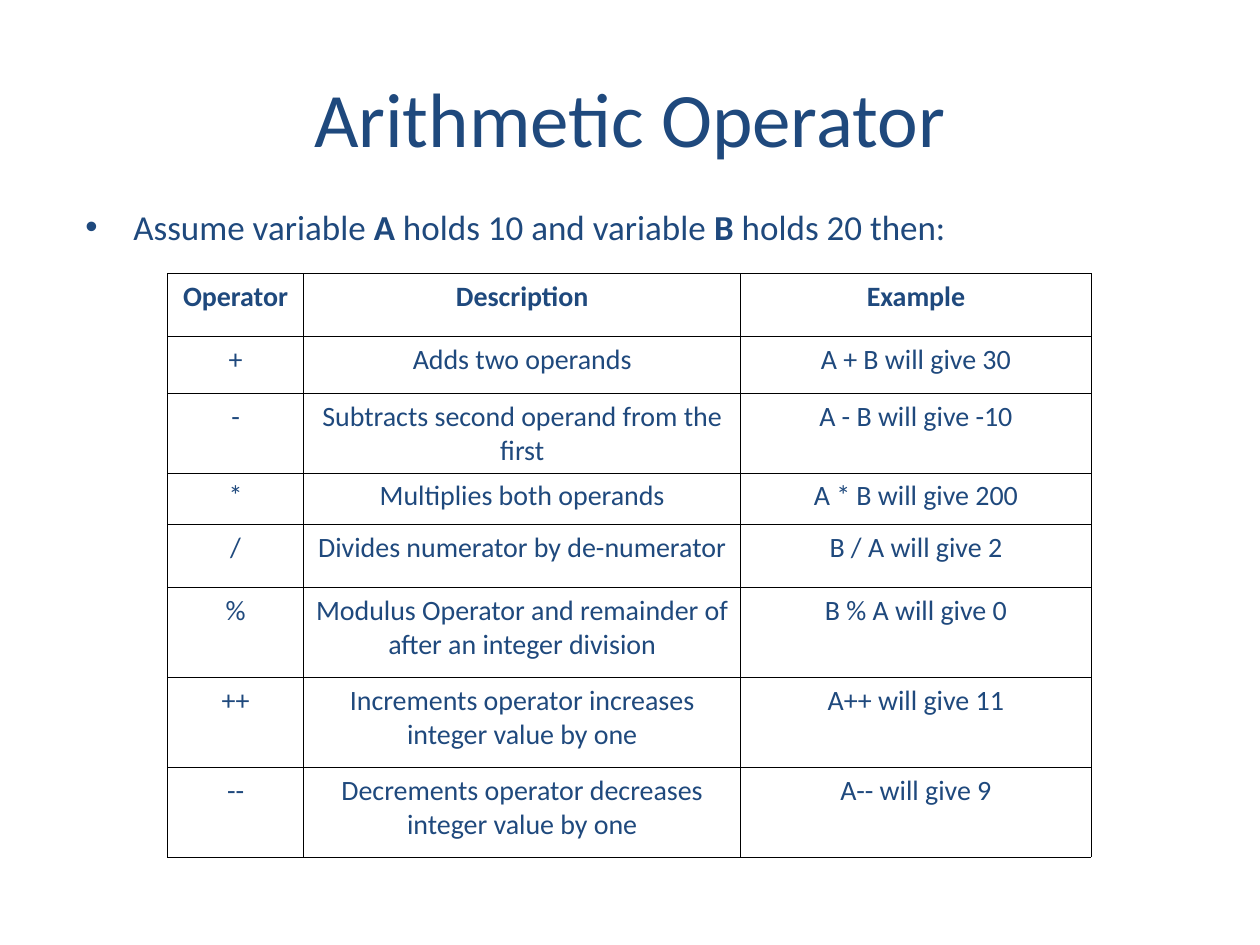
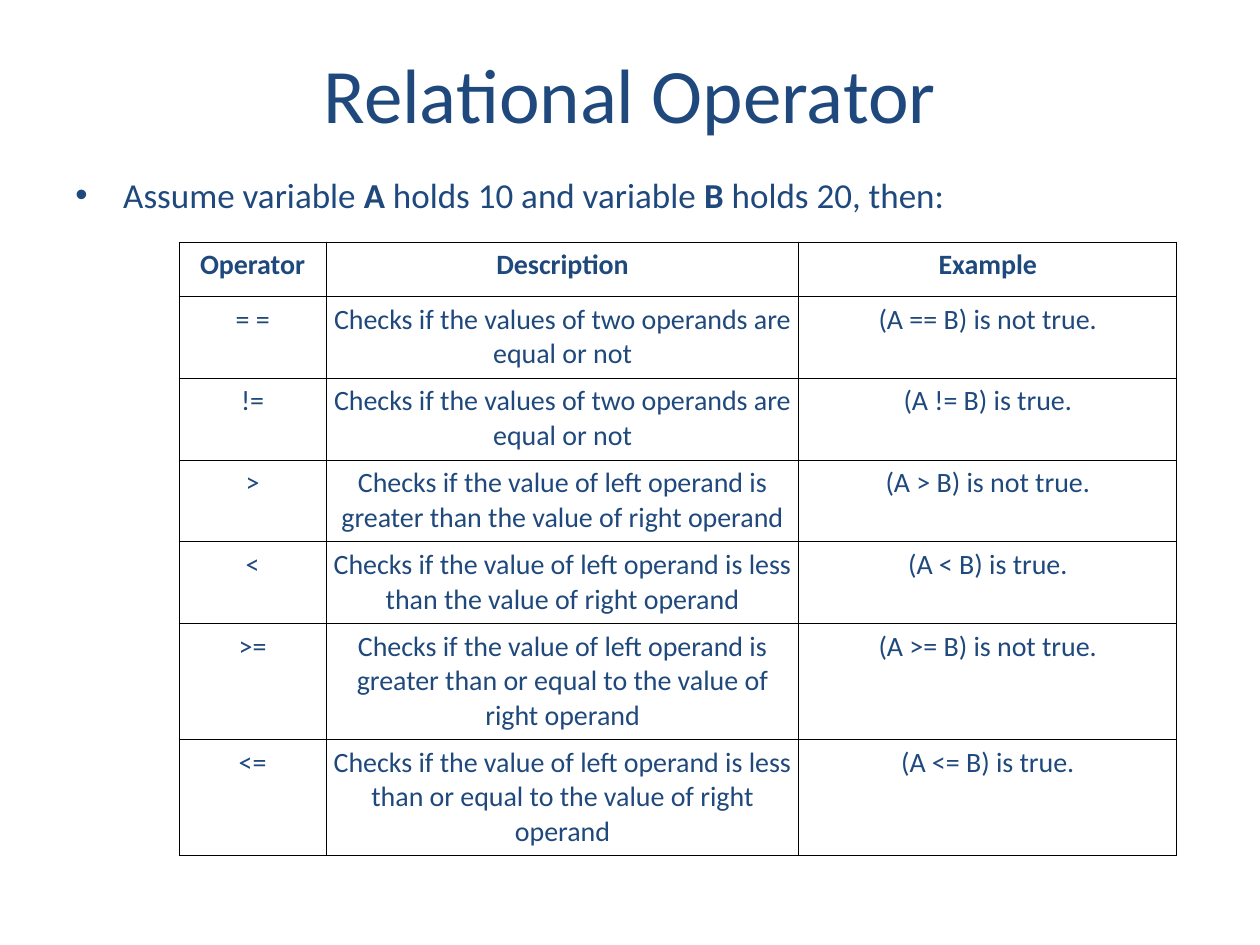
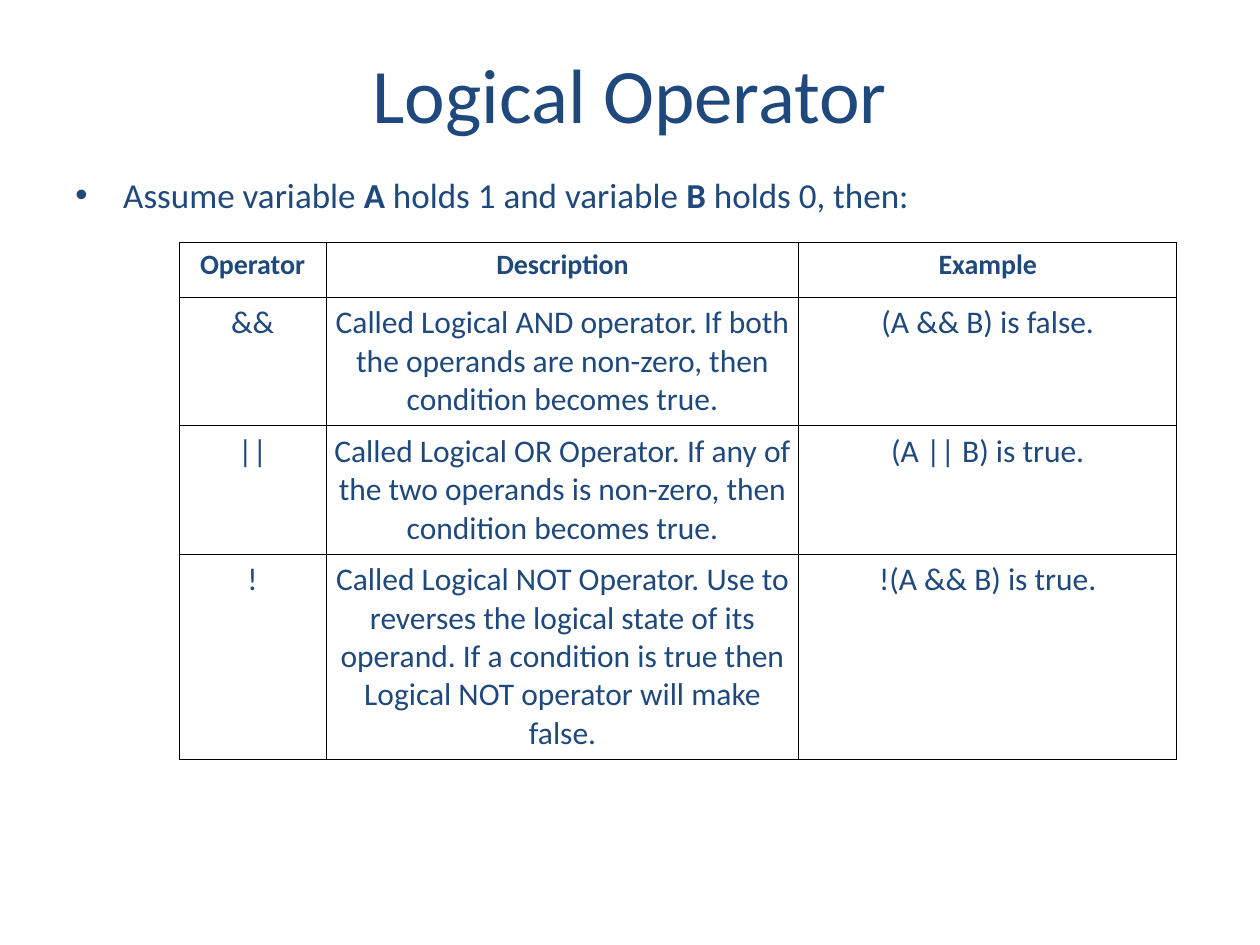
from dataclasses import dataclass

from lxml import etree
from pptx import Presentation
from pptx.dml.color import RGBColor
from pptx.enum import text
from pptx.oxml import ns
from pptx.util import Inches, Pt

NAVY = RGBColor(0x1F, 0x49, 0x7D)
BLACK = RGBColor(0x00, 0x00, 0x00)
FONT = "Calibri"
BORDER_WIDTH = Pt(0.45)
HEADINGS = ("Operator", "Description", "Example")
HEADING_SIZE = 16
HEADING_INSET = 0.04


@dataclass(frozen=True)
class Layout:
    """Places in inches: boxes are left, top, width, height."""
    title: tuple[float, float, float, float]
    statement: tuple[float, float, float, float]
    table_corner: tuple[float, float]
    columns: tuple[float, float, float]
    cell_inset: float


@dataclass(frozen=True)
class OperatorSlide:
    title: str
    value_a: int
    value_b: int
    ending: str
    layout: Layout
    row_heights: tuple[float, ...]
    operators: tuple[tuple[str, str, str], ...]
    text_size: int = 16


WIDE = Layout((0.5, 0.3, 9, 0.87), (0.5, 1.33, 9, 5.37), (1.42, 1.92),
              (1.17, 3.75, 3), 0.05)
NARROW = Layout((0.5, 0.3, 9, 1.25), (0.58, 1.58, 9, 5.92), (1.33, 2.17),
                (1.08, 3.47, 2.78), 0.04)

SLIDES = (
    OperatorSlide(
        "Arithmetic Operator", 10, 20, " then:", NARROW,
        (0.5, 0.45, 0.62, 0.41, 0.5, 0.71, 0.72, 0.71),
        (
            ("+", "Adds two operands", "A + B will give 30"),
            ("-", "Subtracts second operand from the first", "A - B will give -10"),
            ("*", "Multiplies both operands", "A * B will give 200"),
            ("/", "Divides numerator by de-numerator", "B / A will give 2"),
            ("%", "Modulus Operator and remainder of after an integer division",
             "B % A will give 0"),
            ("++", "Increments operator increases integer value by one",
             "A++ will give 11"),
            ("--", "Decrements operator decreases integer value by one",
             "A-- will give 9"),
        ),
    ),
    OperatorSlide(
        "Relational Operator", 10, 20, ", then:", WIDE,
        (0.43, 0.65, 0.65, 0.65, 0.65, 0.92, 0.92),
        (
            ("= =", "Checks if the values of two operands are equal or not",
             "(A == B) is not true."),
            ("!=", "Checks if the values of two operands are equal or not",
             "(A != B) is true."),
            (">", "Checks if the value of left operand is greater than "
             "the value of right operand", "(A > B) is not true."),
            ("<", "Checks if the value of left operand is less than "
             "the value of right operand", "(A < B) is true."),
            (">=", "Checks if the value of left operand is greater than or equal to "
             "the value of right operand", "(A >= B) is not true."),
            ("<=", "Checks if the value of left operand is less than or equal to "
             "the value of right operand", "(A <= B) is true."),
        ),
    ),
    OperatorSlide(
        "Logical Operator", 1, 0, ", then:", WIDE,
        (0.44, 1.02, 1.02, 1.63),
        (
            ("&&", "Called Logical AND operator. If both the operands are non-zero, "
             "then condition becomes true.", "(A && B) is false."),
            ("||", "Called Logical OR Operator. If any of the two operands is non-zero, "
             "then condition becomes true.", "(A || B) is true."),
            ("!", "Called Logical NOT Operator. Use to reverses the logical state of its "
             "operand. If a condition is true then Logical NOT operator will make false.",
             "!(A && B) is true."),
        ),
        text_size=18,
    ),
)


def add_span(para, words: str, size: int, bold: bool = False) -> None:
    span = para.add_run()
    span.text = words
    for name, value in {"name": FONT, "size": Pt(size), "bold": bold}.items():
        setattr(span.font, name, value)
    span.font.color.rgb = NAVY


def add_box(page, place: tuple[float, ...], anchor):
    """Add a wrapping text box and return its first paragraph."""
    frame = page.shapes.add_textbox(*map(Inches, place)).text_frame
    frame.word_wrap = True
    frame.vertical_anchor = anchor
    return frame.paragraphs[0]


def add_title(page, content: OperatorSlide) -> None:
    para = add_box(page, content.layout.title, text.MSO_ANCHOR.MIDDLE)
    para.alignment = text.PP_ALIGN.CENTER
    add_span(para, content.title, 44)


def add_bullet(para) -> None:
    props = para._p.get_or_add_pPr()
    props.set("marL", str(Inches(0.38)))
    props.set("indent", str(-Inches(0.38)))
    colour = etree.SubElement(props, ns.qn("a:buClr"))
    etree.SubElement(colour, ns.qn("a:srgbClr"), val=str(NAVY))
    etree.SubElement(props, ns.qn("a:buFont"), typeface="Arial")
    etree.SubElement(props, ns.qn("a:buChar"), char="•")


def add_statement(page, content: OperatorSlide) -> None:
    para = add_box(page, content.layout.statement, text.MSO_ANCHOR.TOP)
    para.space_before = Pt(5)
    add_bullet(para)
    parts = ("Assume variable ", "A", f" holds {content.value_a} and variable ",
             "B", f" holds {content.value_b}{content.ending}")
    for part in parts:
        add_span(para, part, 20, bold=part in ("A", "B"))


def add_borders(cell) -> None:
    props = cell._tc.get_or_add_tcPr()
    for side in ("lnL", "lnR", "lnT", "lnB"):
        line = etree.SubElement(props, ns.qn(f"a:{side}"), w=str(BORDER_WIDTH))
        fill = etree.SubElement(line, ns.qn("a:solidFill"))
        etree.SubElement(fill, ns.qn("a:srgbClr"), val=str(BLACK))


def fill_cell(cell, words: str, size: int, inset: float, bold: bool) -> None:
    add_borders(cell)
    cell.fill.background()
    margins = {"margin_left": inset, "margin_right": inset,
               "margin_top": 0.05, "margin_bottom": 0.05}
    for name, value in margins.items():
        setattr(cell, name, Inches(value))
    para = cell.text_frame.paragraphs[0]
    para.alignment = text.PP_ALIGN.CENTER
    add_span(para, words, size, bold)


def add_operator_table(page, content: OperatorSlide) -> None:
    layout = content.layout
    rows = (HEADINGS, *content.operators)
    size = (sum(layout.columns), sum(content.row_heights))
    table = page.shapes.add_table(len(rows), len(HEADINGS),
                                  *map(Inches, layout.table_corner + size)).table
    table.first_row = table.horz_banding = False
    for column, width in zip(table.columns, layout.columns):
        column.width = Inches(width)
    for index, (row, height, words) in enumerate(
            zip(table.rows, content.row_heights, rows)):
        row.height = Inches(height)
        heading = index == 0
        text_size = HEADING_SIZE if heading else content.text_size
        inset = HEADING_INSET if heading else layout.cell_inset
        for cell, entry in zip(row.cells, words):
            fill_cell(cell, entry, text_size, inset, heading)


def main() -> None:
    deck = Presentation()
    deck.slide_width, deck.slide_height = Inches(10), Inches(7.5)
    for content in SLIDES:
        page = deck.slides.add_slide(deck.slide_layouts[6])
        add_title(page, content)
        add_statement(page, content)
        add_operator_table(page, content)
    deck.save("out.pptx")


if __name__ == "__main__":
    main()
